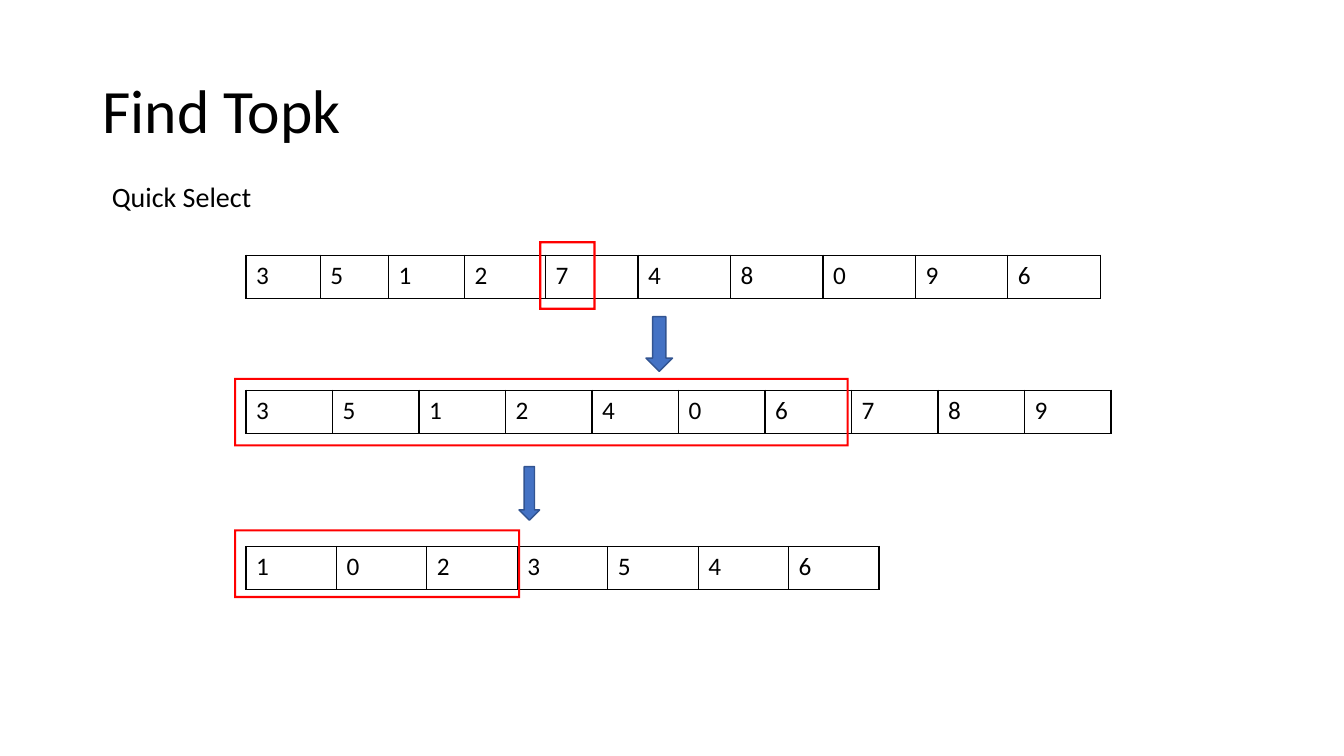
from lxml import etree
from pptx import Presentation
from pptx.dml.color import RGBColor
from pptx.enum import shapes, text
from pptx.oxml import ns
from pptx.util import Cm, Pt

BLACK = RGBColor(0x00, 0x00, 0x00)
RED = RGBColor(0xFF, 0x00, 0x00)
BLUE = RGBColor(0x44, 0x72, 0xC4)
DARK_BLUE = RGBColor(0x32, 0x54, 0x91)


def set_text(tf, content, size):
    p = tf.paragraphs[0]
    p.text = content
    p.font.name = "Calibri"
    p.font.size = Pt(size)
    p.font.color.rgb = BLACK
    return p


def add_borders(cell):
    tcPr = cell._tc.get_or_add_tcPr()
    for i, side in enumerate(("lnL", "lnR", "lnT", "lnB")):
        ln = etree.Element(ns.qn("a:" + side), w=str(Pt(1)))
        fill = etree.SubElement(ln, ns.qn("a:solidFill"))
        etree.SubElement(fill, ns.qn("a:srgbClr"), val=str(BLACK))
        tcPr.insert(i, ln)


prs = Presentation()
prs.slide_width, prs.slide_height = Cm(33.87), Cm(19.05)
s = prs.slides.add_slide(prs.slide_layouts[6])

# Title and subtitle
for content, size, left, top, width, height, anchor, spacing in (
    ("Find Topk", 44, 2.33, 1.01, 29.21, 3.68, text.MSO_ANCHOR.MIDDLE, 0.9),
    ("Quick Select", 20, 2.57, 4.4, 6.65, 1.11, text.MSO_ANCHOR.TOP, 1.0),
):
    tf = s.shapes.add_textbox(Cm(left), Cm(top), Cm(width), Cm(height)).text_frame
    tf.word_wrap = True
    tf.vertical_anchor = anchor
    set_text(tf, content, size).line_spacing = spacing

# Number arrays, one table per selection step
for top, numbers, widths in (
    (6.43, "3512748096", [1.87, 1.72, 1.92, 2.04] + [2.33] * 6),
    (9.83, "3512406789", [2.18] * 10),
    (13.77, "1023546", [2.28] * 7),
):
    table = s.shapes.add_table(
        1, len(numbers), Cm(6.2), Cm(top), Cm(sum(widths)), Cm(1.09)).table
    table.first_row = table.horz_banding = False
    for column, cell, number, width in zip(
            table.columns, table.rows[0].cells, numbers, widths):
        column.width = Cm(width)
        cell.fill.background()
        add_borders(cell)
        set_text(cell.text_frame, number, 18)

# Arrows between the steps
for left, top, width, height in ((16.28, 7.98, 0.67, 1.38), (13.08, 11.76, 0.52, 1.35)):
    sp = s.shapes.add_shape(
        shapes.MSO_SHAPE.DOWN_ARROW, Cm(left), Cm(top), Cm(width), Cm(height))
    sp.shadow.inherit = False
    sp.fill.solid()
    sp.fill.fore_color.rgb = BLUE
    sp.line.color.rgb = DARK_BLUE
    sp.line.width = Pt(1)

# Red frames: the pivot and the parts kept
for left, top, width, thickness in (
    (13.59, 6.08, 1.42, 0.04),
    (5.9, 9.52, 15.49, 0.03),
    (5.9, 13.34, 7.21, 0.03),
):
    sp = s.shapes.add_shape(
        shapes.MSO_SHAPE.FRAME, Cm(left), Cm(top), Cm(width), Cm(1.73))
    sp.adjustments[0] = thickness
    sp.shadow.inherit = False
    sp.fill.solid()
    sp.fill.fore_color.rgb = RED
    sp.line.fill.background()

prs.save("out.pptx")
